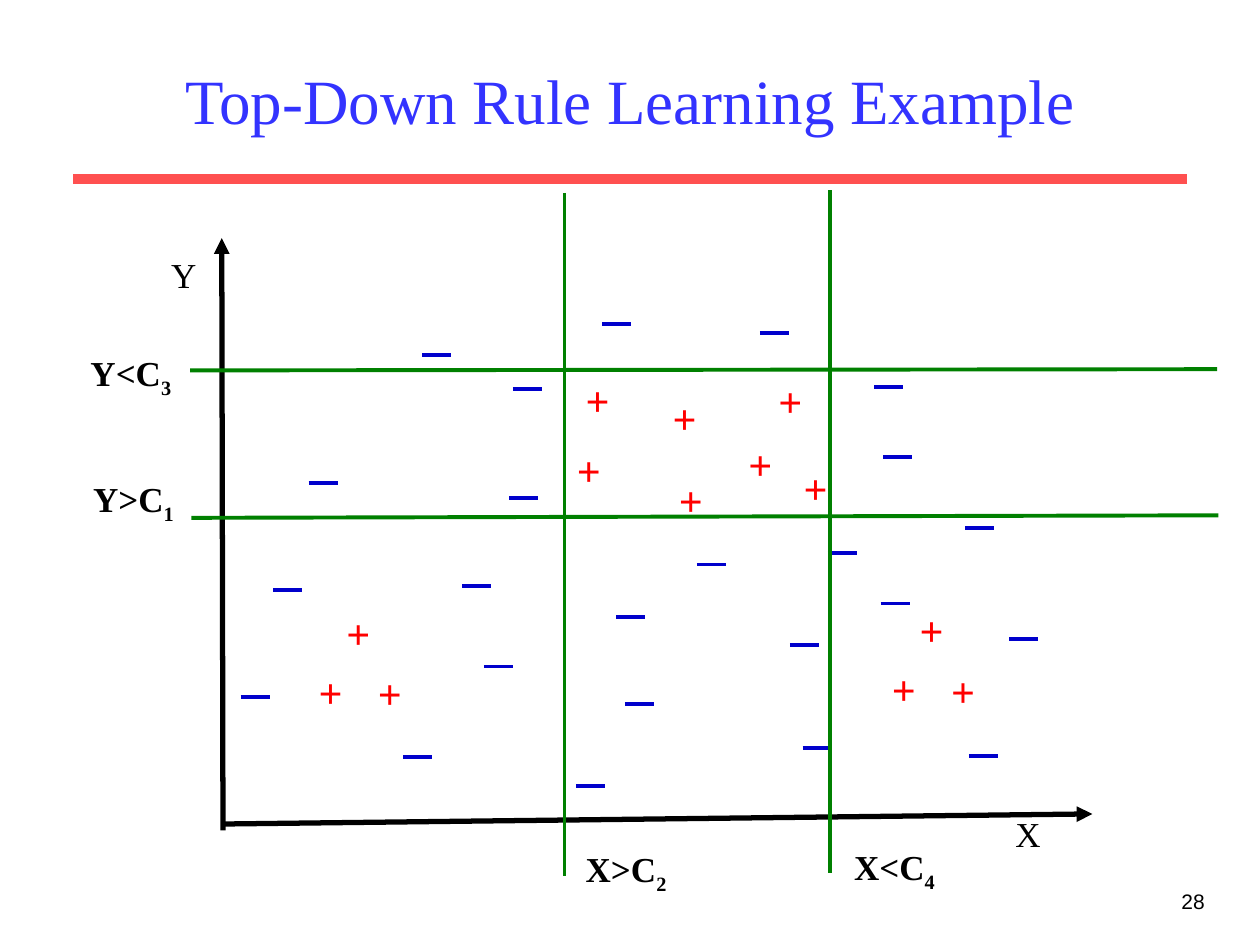
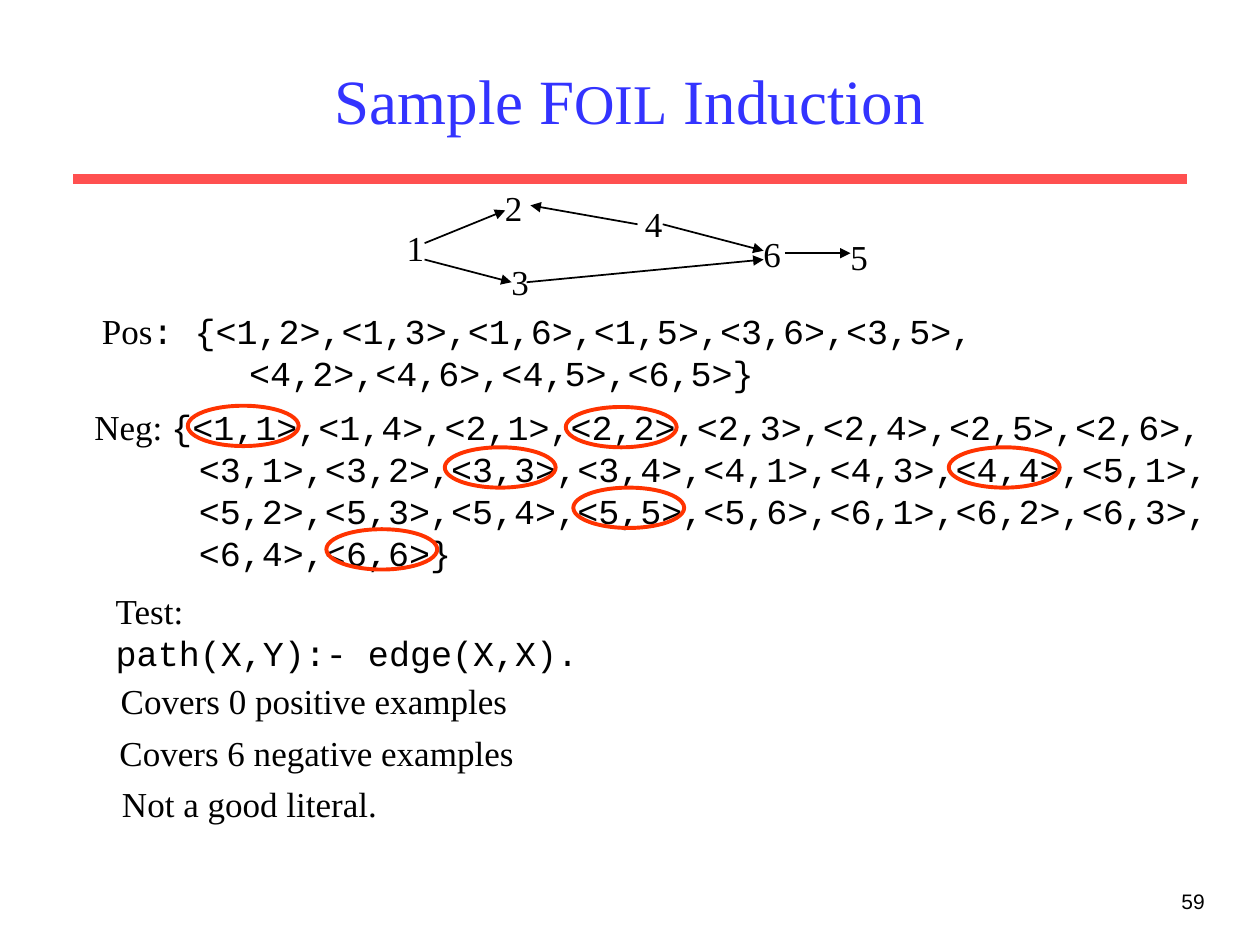
from pptx import Presentation
from pptx.dml.color import RGBColor
from pptx.enum.shapes import MSO_CONNECTOR as Link, MSO_SHAPE as Kind
from pptx.enum.text import MSO_ANCHOR as Anchor, MSO_AUTO_SIZE as Fit, PP_ALIGN as Align
from pptx.oxml.ns import qn
from pptx.util import Emu, Pt
from lxml.etree import SubElement as Sub

PX = 9144  # 100 px to the inch
BLACK, RED, BLUE, GREEN = "000000", "FF0000", "0000CC", "008000"
TITLE, BAND, RING = "3333FF", "FF5050", "FF3300"
BODY = {"name": "Times New Roman", "size": Pt(20), "color": BLACK}
BOLD = BODY | {"bold": True}
CODE = BODY | {"name": "Courier New"}
HEAD = BODY | {"size": Pt(36), "color": TITLE}
SMALL = HEAD | {"size": Pt(32)}
PLUS = BOLD | {"size": Pt(24), "color": RED}
PAGE = {"name": "Arial", "size": Pt(12), "color": BLACK}


def px(*nums):
    return [Emu(n * PX) for n in nums]


def rgb(code):
    return RGBColor.from_string(code)


def style(font, look):
    for key, val in look.items():
        if key == "color":
            font.color.rgb = rgb(val)
        else:
            setattr(font, key, val)


def text(shapes, box, *lines, align=Align.LEFT, wrap=False, anchor=Anchor.TOP):
    """Each line is (indent, (words, look), ...); a third item is a baseline."""
    frame = shapes.add_textbox(*px(*box)).text_frame
    form = {"word_wrap": wrap, "vertical_anchor": anchor,
            "auto_size": Fit.NONE if wrap else Fit.SHAPE_TO_FIT_TEXT}
    for key, val in form.items():
        setattr(frame, key, val)
    for i, (indent, *runs) in enumerate(lines):
        para = frame.add_paragraph() if i else frame.paragraphs[0]
        para.alignment = align
        if indent:
            para._p.get_or_add_pPr().set("marL", str(indent * PX))
        for words, look, *base in runs:
            run = para.add_run()
            run.text = words
            style(run.font, look)
            if base:
                run._r.get_or_add_rPr().set("baseline", str(base[0]))


def line(shapes, ends, color, width, arrow=False):
    link = shapes.add_connector(Link.STRAIGHT, *px(*ends))
    link.line.color.rgb = rgb(color)
    link.line.width = Pt(width)
    if arrow:
        Sub(link.line._get_or_add_ln(), qn("a:tailEnd"), type="triangle")
    Sub(link._element.spPr, qn("a:effectLst"))


def ring(shapes, box):
    oval = shapes.add_shape(Kind.OVAL, *px(*box))
    oval.shadow.inherit = False
    oval.fill.background()
    oval.line.color.rgb = rgb(RING)
    oval.line.width = Pt(2.25)


def base(deck, number, *title):
    """Slide with the shared band, title and page number."""
    shapes = deck.slides.add_slide(deck.slide_layouts[6]).shapes
    line(shapes, (58, 142, 942, 142), BAND, 6)
    text(shapes, (75, 25, 850, 108), (0, *title),
         align=Align.CENTER, wrap=True, anchor=Anchor.MIDDLE)
    text(shapes, (758, 700, 208, 50), (0, (number, PAGE)), align=Align.RIGHT, wrap=True)
    return shapes


def plot(shapes, left, top):
    # Axes
    for x1, y1, x2, y2 in ((27, 509, 26, 39), (27, 504, 717, 496)):
        line(shapes, (left + x1, top + y1, left + x2, top + y2), BLACK, 3, True)
    for name, x, y in (("X", 646, 490), ("Y", -24, 46)):
        text(shapes, (left + x, top + y, 40, 44), (0, (name, BODY)))

    # Positive points: the centre, then two like clusters
    middle = [(305, 142), (458, 143), (434, 193), (298, 198),
              (374, 157), (379, 222), (478, 212)]
    trio = [(115, 327), (93, 374), (140, 375)]
    for x, y in middle + trio + [(x + 455, y - 2) for x, y in trio]:
        text(shapes, (left + x, top + y, 39, 50), (0, ("+", PLUS)))

    # Negative points
    minus = [(254, 245), (328, 107), (453, 114), (185, 132), (95, 233), (544, 157),
             (507, 289), (257, 159), (551, 213), (339, 340), (477, 362), (549, 329),
             (403, 298), (616, 269), (346, 409), (217, 315), (234, 379), (487, 444),
             (170, 451), (67, 318), (307, 474), (619, 450), (651, 357), (41, 403)]
    for x, y in minus:
        line(shapes, (left + x, top + y, left + x + 23, top + y), BLUE, 2.25)

    # Rule bounds and their labels
    bounds = [("Y>C", "1", (2, 261, 817, 259), (-86, 224)),
              ("X>C", "2", (298, 3, 298, 545), (305, 518)),
              ("Y<C", "3", (1, 144, 816, 143), (-88, 124)),
              ("X<C", "4", (509, 1, 509, 543), (518, 516))]
    for name, sub, (x1, y1, x2, y2), (x, y) in bounds:
        line(shapes, (left + x1, top + y1, left + x2, top + y2), GREEN, 2.25)
        text(shapes, (left + x, top + y, 84, 48), (0, (name, BOLD), (sub, BOLD, -25000)))


def graph(shapes, left, top):
    group = shapes.add_group_shape().shapes
    nodes = {"1": (0, 32), "2": (78, 0), "3": (83, 59),
             "4": (189, 13), "6": (283, 37), "5": (352, 39)}
    for name, (x, y) in nodes.items():
        text(group, (left + x, top + y, 34, 44), (0, (name, BODY)))
    edges = [(24, 50, 88, 24), (24, 63, 93, 81), (193, 35, 108, 20),
             (213, 35, 293, 56), (105, 81, 293, 63), (310, 58, 362, 58)]
    for x1, y1, x2, y2 in edges:
        line(group, (left + x1, top + y1, left + x2, top + y2), BLACK, 1, True)


def pos(shapes, left, top):
    text(shapes, (left, top, 730, 77),
         (0, ("Pos", BODY), (": {<1,2>,<1,3>,<1,6>,<1,5>,<3,6>,<3,5>,", CODE)),
         (117, ("<4,2>,<4,6>,<4,5>,<6,5>}", CODE)), wrap=True)


def neg(shapes, left, top):
    rows = ["<3,1>,<3,2>,<3,3>,<3,4>,<4,1>,<4,3>,<4,4>,<5,1>,",
            "<5,2>,<5,3>,<5,4>,<5,5>,<5,6>,<6,1>,<6,2>,<6,3>,",
            "<6,4>,<6,6>}"]
    text(shapes, (left, top, 925, 144),
         (0, ("Neg: ", BODY), ("{<1,1>,<1,4>,<2,1>,<2,2>,<2,3>,<2,4>,<2,5>,<2,6>,", CODE)),
         *[(83, (row, CODE)) for row in rows], wrap=True)
    # Rings on the covered pairs
    for x, y in ((84, 5), (384, 6), (288, 38), (688, 38), (390, 70), (194, 103)):
        ring(shapes, (left + x, top + y, 88, 32))


def test(shapes, left, top):
    text(shapes, (left, top, 405, 77), (0, ("Test:", BODY)),
         (0, ("path(X,Y):- edge(X,X).", CODE)), wrap=True)
    notes = [("Covers 0 positive examples", 4, 71, 345),
             ("Covers 6 negative examples", 3, 113, 350),
             ("Not a good literal.", 5, 153, 240)]
    for words, x, y, wide in notes:
        text(shapes, (left + x, top + y, wide, 44), (0, (words, BODY)), wrap=True)


def main():
    deck = Presentation()
    deck.slide_width, deck.slide_height = px(1000, 750)

    plot(base(deck, "28", ("Top-Down Rule Learning Example", HEAD)), 150, 150)

    shapes = base(deck, "59", ("Sample F", HEAD), ("OIL", SMALL), (" Induction", HEAD))
    graph(shapes, 313, 143)
    pos(shapes, 71, 241)
    neg(shapes, 65, 317)
    test(shapes, 82, 463)

    deck.save("out.pptx")


if __name__ == "__main__":
    main()
